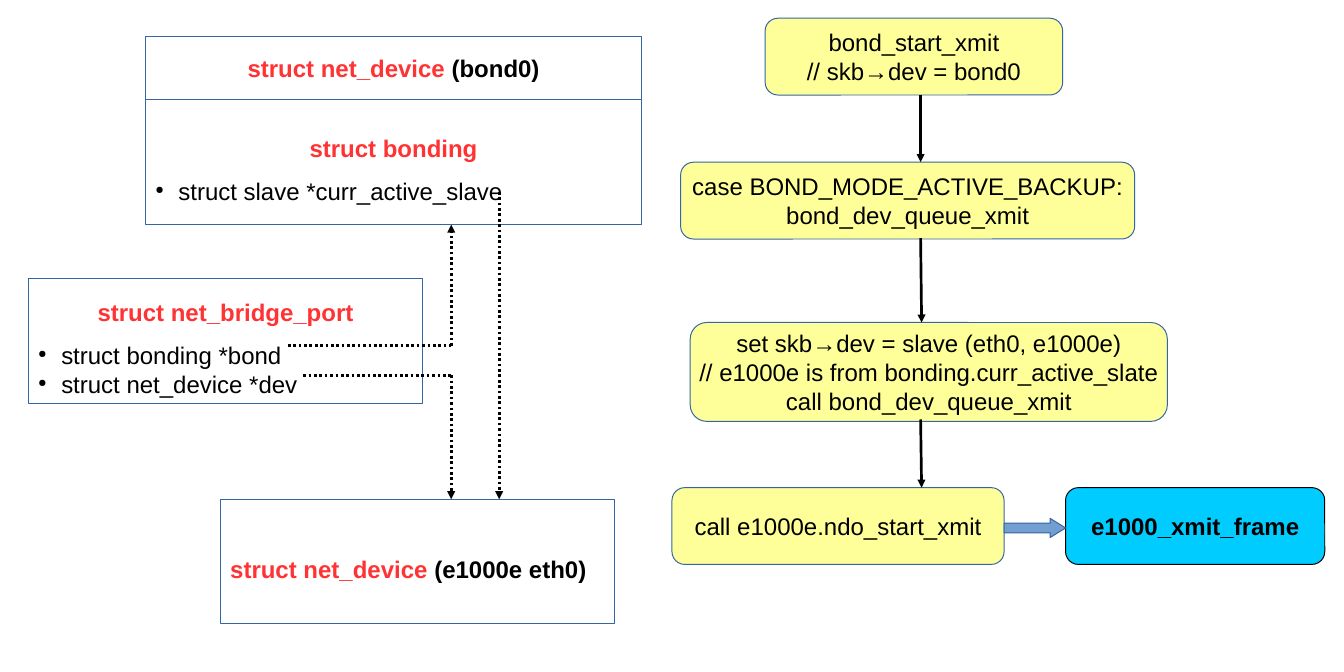
from lxml import etree
from pptx import Presentation
from pptx.dml.color import RGBColor
from pptx.enum.dml import MSO_LINE
from pptx.enum.shapes import MSO_CONNECTOR, MSO_SHAPE
from pptx.enum.text import MSO_ANCHOR, PP_ALIGN
from pptx.oxml.ns import qn
from pptx.util import Inches, Pt

RECT, ROUND = MSO_SHAPE.RECTANGLE, MSO_SHAPE.ROUNDED_RECTANGLE
ARROW = MSO_SHAPE.RIGHT_ARROW
STRAIGHT = MSO_CONNECTOR.STRAIGHT
DOTTED = MSO_LINE.ROUND_DOT
LEFT, CENTER = PP_ALIGN.LEFT, PP_ALIGN.CENTER
MIDDLE = MSO_ANCHOR.MIDDLE

WHITE, BLACK, RED, BLUE = "FFFFFF", "000000", "FF3333", "3465A4"
YELLOW, CYAN, STEEL = "FFFF99", "00CCFF", "729FCF"

# Struct boxes: place, red title, black suffix, title alignment, title spacing, members
STRUCTS = [
    ((2.3, 5.2, 4.1, 1.3), "struct net_device ", "(e1000e eth0)", LEFT, 1.5, []),
    ((0.3, 2.9, 4.1, 1.3), "struct net_bridge_port", "", CENTER, 1.5,
     ["struct bonding *bond", "struct net_device *dev"]),
    ((1.52, 0.38, 5.16, 0.66), "struct net_device ", "(bond0)", CENTER, 1, []),
    ((1.52, 1.04, 5.16, 1.3), "struct bonding", "", CENTER, 1.5,
     ["struct slave *curr_active_slave"]),
]

# Call steps: place, lines, fill, outline, bold
STEPS = [
    ((7.97, 0.19, 3.1, 0.8), ["bond_start_xmit", "// skb→dev = bond0"], YELLOW, BLUE, False),
    ((7.09, 1.69, 4.73, 0.8), ["case BOND_MODE_ACTIVE_BACKUP:", "bond_dev_queue_xmit"],
     YELLOW, BLUE, False),
    ((7.19, 3.36, 4.97, 1.03), ["set skb→dev = slave (eth0, e1000e)",
                               "// e1000e is from bonding.curr_active_slate",
                               "call bond_dev_queue_xmit"], YELLOW, BLUE, False),
    ((7, 5.08, 3.46, 0.8), ["call e1000e.ndo_start_xmit"], YELLOW, BLUE, False),
    ((11.1, 5.08, 2.7, 0.8), ["e1000_xmit_frame"], CYAN, BLACK, True),
]
FRAME_ARROW = (10.46, 5.4, 0.64, 0.2)

# Lines: from x, y, to x, y, arrowhead
FLOW = [
    (9.59, 0.99, 9.59, 1.69, True),
    (9.59, 2.48, 9.6, 3.36, True),
    (9.59, 4.37, 9.6, 5.08, True),
]
POINTERS = [
    (5.2, 2, 5.2, 5.2, True),
    (3, 3.6, 4.7, 3.6, False),
    (3.16, 3.91, 4.7, 3.91, False),
    (4.7, 3.91, 4.7, 5.2, True),
    (4.7, 3.6, 4.7, 2.34, True),
]


def rgb(color):
    return RGBColor.from_string(color)


def add_box(s, kind, place, fill, outline, wrap=True):
    sp = s.shapes.add_shape(kind, *map(Inches, place))
    sp.shadow.inherit = False
    sp.fill.solid()
    sp.fill.fore_color.rgb = rgb(fill)
    sp.line.color.rgb = rgb(outline)
    sp.line.width = Pt(0)
    sp.text_frame.word_wrap = wrap
    sp.text_frame.vertical_anchor = MIDDLE
    return sp


def style_run(r, color=BLACK, bold=False):
    r.font.name = "Arial"
    r.font.size = Pt(18)
    r.font.bold = bold
    r.font.color.rgb = rgb(color)


def add_bullet(p):
    pPr = p._p.get_or_add_pPr()
    pPr.set("marL", str(Inches(0.24)))
    pPr.set("indent", str(-Inches(0.24)))
    clr = etree.SubElement(pPr, qn("a:buClr"))
    etree.SubElement(clr, qn("a:srgbClr"), val=BLACK)
    etree.SubElement(pPr, qn("a:buSzPct"), val="45000")
    etree.SubElement(pPr, qn("a:buChar"), char="●")


def add_struct(s, place, title, suffix, align, spacing, members):
    tf = add_box(s, RECT, place, WHITE, BLUE).text_frame
    p = tf.paragraphs[0]
    p.alignment = align
    p.line_spacing = float(spacing)
    for text, color in ((title, RED), (suffix, BLACK)):
        if text:
            r = p.add_run()
            r.text = text
            style_run(r, color, True)
    for i, member in enumerate(members):
        p = tf.add_paragraph()
        p.text = member
        p.alignment = LEFT
        p.line_spacing = 1.0 if i else 1.5
        add_bullet(p)
        style_run(p.runs[0])


def add_step(s, place, lines, fill, outline, bold):
    sp = add_box(s, ROUND, place, fill, outline, wrap=False)
    sp.adjustments[0] = 0.167
    tf = sp.text_frame
    tf.text = "\n".join(lines)
    for p in tf.paragraphs:
        p.alignment = CENTER
        style_run(p.runs[0], bold=bold)


def add_line(s, x1, y1, x2, y2, arrowhead, dash=None):
    line = s.shapes.add_connector(STRAIGHT, *map(Inches, (x1, y1, x2, y2)))
    line.line.color.rgb = rgb(BLACK)
    line.line.width = Pt(0)
    if dash:
        line.line.dash_style = dash
    if arrowhead:
        etree.SubElement(line.line._get_or_add_ln(), qn("a:tailEnd"), type="triangle")
    etree.SubElement(line._element.spPr, qn("a:effectLst"))


def main():
    prs = Presentation()
    prs.slide_width, prs.slide_height = Inches(14), Inches(7)
    s = prs.slides.add_slide(prs.slide_layouts[6])
    for struct in STRUCTS:
        add_struct(s, *struct)
    for step in STEPS:
        add_step(s, *step)
    arrow = add_box(s, ARROW, FRAME_ARROW, STEEL, BLUE)
    arrow.adjustments[1] = 0.802
    for line in FLOW:
        add_line(s, *line)
    for line in POINTERS:
        add_line(s, *line, dash=DOTTED)
    prs.save("out.pptx")


if __name__ == "__main__":
    main()
